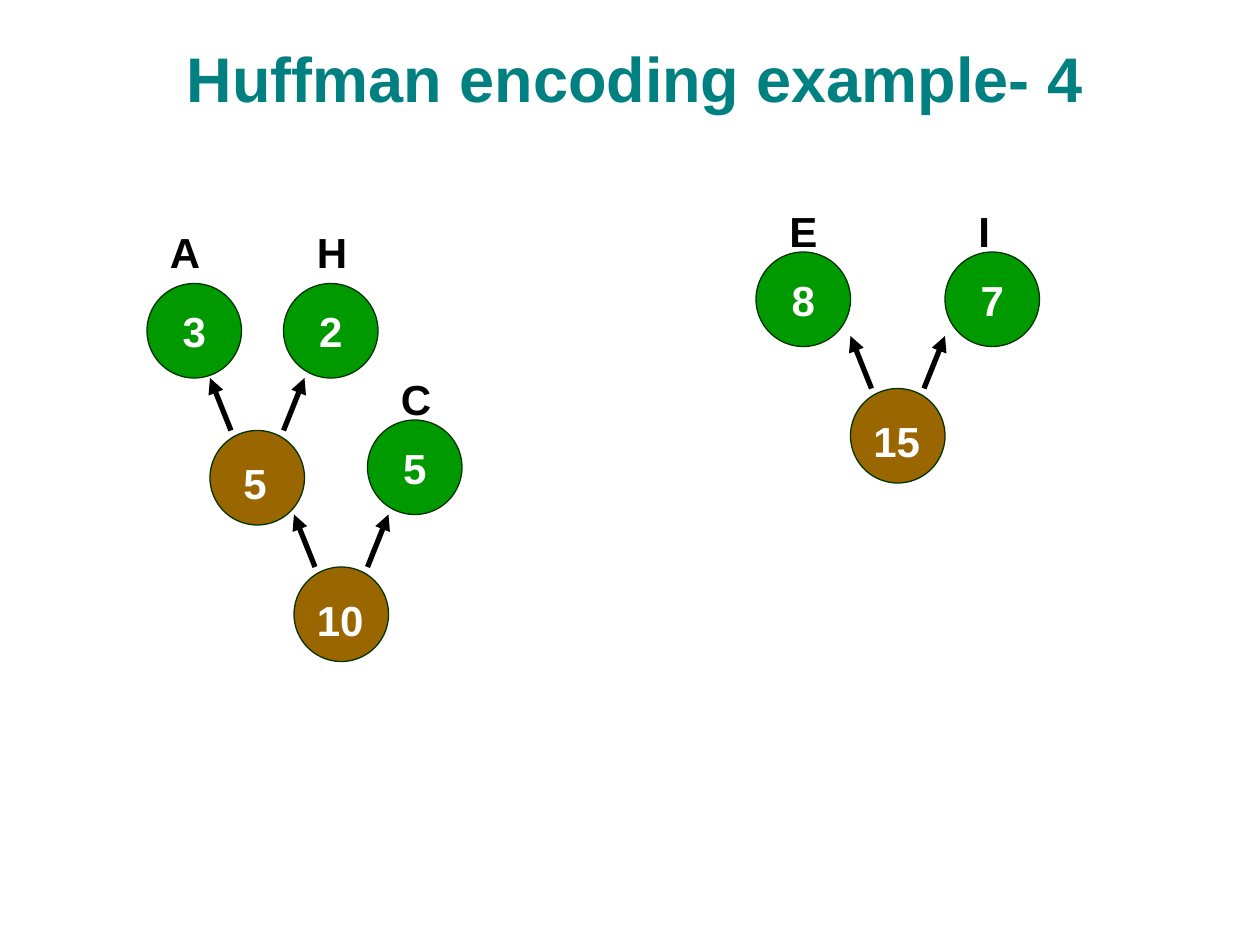
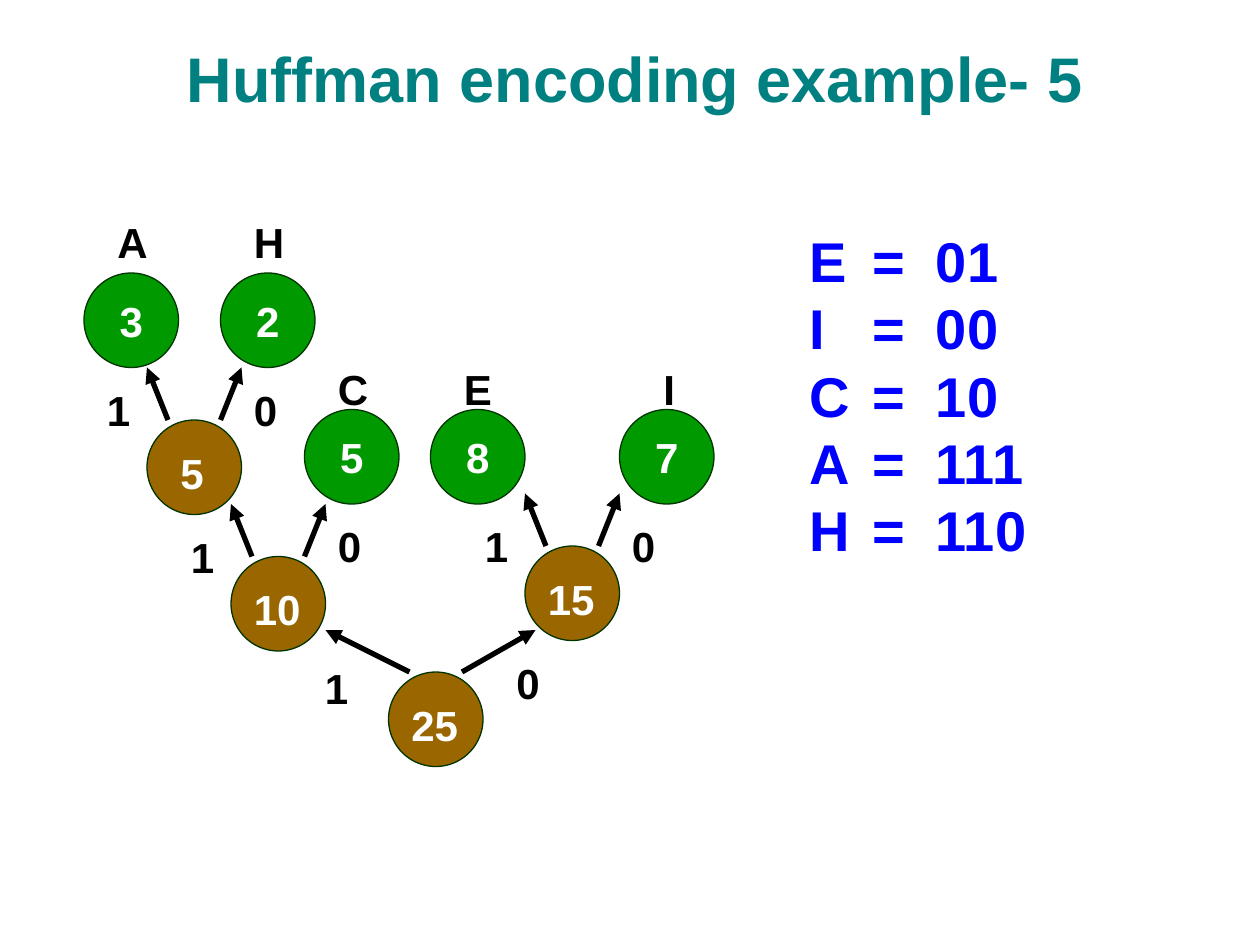
"""Build two slides that merge Huffman trees and read off the resulting codes."""
from dataclasses import dataclass

from lxml.etree import SubElement
from pptx import Presentation
from pptx.dml.color import RGBColor
from pptx.enum.shapes import MSO_CONNECTOR, MSO_SHAPE
from pptx.enum.text import MSO_ANCHOR, MSO_AUTO_SIZE, PP_ALIGN
from pptx.oxml.ns import qn
from pptx.util import Inches, Pt


@dataclass(frozen=True)
class Theme:
    font: str = "Arial"
    title: str = "008080"
    leaf: str = "009900"
    merged: str = "996600"
    outline: str = "003300"
    weight: str = "FFFFFF"
    ink: str = "000000"
    code: str = "0000FF"
    title_size: int = 36
    node_size: int = 24
    code_size: int = 32


THEME = Theme()

# Positions count grid steps, twelve to the inch.
STEPS_PER_INCH = 12
DIAMETER = 9
TEXT_HEIGHT = 6
ARROW_STARTS = (2, 7)
NEAR_TIPS = ((0, -5), (9, -5))
WIDE_TIPS = ((-6, -4), (14, -4))
GLYPH_WIDTHS = {"A": 0.44, "C": 0.44, "E": 0.42, "H": 0.44, "I": 0.29}

AHC_TREE = {
    "leaves": [("A", "3", 14, 27, -6), ("H", "2", 27, 27, -6), ("C", "5", 35, 40, -5)],
    "merges": [("5", 20, 41, NEAR_TIPS), ("10", 28, 54, NEAR_TIPS)],
}
EI_TREE = {
    "leaves": [("E", "8", 72, 24, -5), ("I", "7", 90, 24, -5)],
    "merges": [("15", 81, 37, NEAR_TIPS)],
}
ROOT = {"leaves": [], "merges": [("25", 37, 64, WIDE_TIPS)]}

SLIDES = [
    {
        "title": "Huffman encoding example- 4",
        "trees": [(AHC_TREE, 0, 0), (EI_TREE, 0, 0)],
        "letter_shift": {"A": 1},
        "bits": [],
        "codes": [],
    },
    {
        "title": "Huffman encoding example- 5",
        "trees": [(AHC_TREE, -6, -1), (EI_TREE, -31, 15), (ROOT, 0, 0)],
        "letter_shift": {"I": 3},
        "bits": [
            ("1", 29.75, 62.5), ("1", 17, 50), ("1", 9, 36), ("1", 45, 49),
            ("0", 48, 62), ("0", 59, 49), ("0", 23, 36), ("0", 31, 49),
        ],
        "codes": [("E", "01"), ("I", "00"), ("C", "10"), ("A", "111"), ("H", "110")],
    },
]


def steps(count):
    return Inches(count / STEPS_PER_INCH)


def style(frame, size, color, align=PP_ALIGN.LEFT, leading=1.2):
    for paragraph in frame.paragraphs:
        paragraph.alignment = align
        if leading:
            paragraph.line_spacing = Pt(size * leading)
        for run in paragraph.runs:
            run.font.name = THEME.font
            run.font.size = Pt(size)
            run.font.bold = True
            run.font.color.rgb = RGBColor.from_string(color)


def add_title(slide, wording):
    title = slide.shapes.title
    title.left, title.top = Inches(0.33), Inches(0.17)
    title.width, title.height = Inches(9.42), Inches(0.79)
    frame = title.text_frame
    frame.text = wording
    frame.auto_size = MSO_AUTO_SIZE.NONE
    frame.vertical_anchor = MSO_ANCHOR.BOTTOM
    style(frame, THEME.title_size, THEME.title, PP_ALIGN.CENTER, leading=None)


def add_caption(slide, wording, col, row, color=THEME.ink):
    width = GLYPH_WIDTHS.get(wording, 0.19 * (len(wording) + 1))
    caption = slide.shapes.add_textbox(
        steps(col), steps(row), Inches(width), steps(TEXT_HEIGHT))
    caption.text_frame.word_wrap = False
    caption.text_frame.text = wording
    style(caption.text_frame, THEME.node_size, color)


def add_circle(slide, col, row, color):
    circle = slide.shapes.add_shape(
        MSO_SHAPE.OVAL, steps(col), steps(row), steps(DIAMETER), steps(DIAMETER))
    circle.shadow.inherit = False
    circle.fill.solid()
    circle.fill.fore_color.rgb = RGBColor.from_string(color)
    circle.line.color.rgb = RGBColor.from_string(THEME.outline)
    circle.line.width = Pt(0.75)
    return circle


def add_arrow(slide, start, tip):
    arrow = slide.shapes.add_connector(
        MSO_CONNECTOR.STRAIGHT, *(steps(count) for count in (*start, *tip)))
    arrow.line.color.rgb = RGBColor.from_string(THEME.ink)
    arrow.line.width = Pt(3)
    SubElement(arrow.line._get_or_add_ln(), qn("a:tailEnd"), type="triangle")
    SubElement(arrow._element.spPr, qn("a:effectLst"))


def add_leaf(slide, letter, weight, col, row, rise, shift):
    frame = add_circle(slide, col, row, THEME.leaf).text_frame
    frame.word_wrap = False
    frame.vertical_anchor = MSO_ANCHOR.MIDDLE
    frame.text = weight
    style(frame, THEME.node_size, THEME.weight, PP_ALIGN.CENTER)
    add_caption(slide, letter, col + shift, row + rise)


def add_merge(slide, weight, col, row, tips):
    add_circle(slide, col, row, THEME.merged)
    add_caption(slide, weight, col + 3 - len(weight), row + 2, THEME.weight)
    for start, (across, up) in zip(ARROW_STARTS, tips):
        add_arrow(slide, (col + start, row), (col + across, row + up))


def add_tree(slide, tree, right, down, letter_shift):
    for letter, weight, col, row, rise in tree["leaves"]:
        add_leaf(slide, letter, weight, col + right, row + down, rise,
                 letter_shift.get(letter, 2))
    for weight, col, row, tips in tree["merges"]:
        add_merge(slide, weight, col + right, row + down, tips)


def add_codes(slide, codes):
    listing = slide.shapes.add_textbox(
        Inches(6.33), Inches(1.75), Inches(2.94), Inches(2.77))
    frame = listing.text_frame
    frame.word_wrap = False
    frame.text = "\n".join(f"{letter} \t= \t{code}" for letter, code in codes)
    style(frame, THEME.code_size, THEME.code)


def main():
    deck = Presentation()
    deck.slide_width, deck.slide_height = Inches(10), Inches(7.5)
    title_only = deck.slide_layouts[5]
    for content in SLIDES:
        slide = deck.slides.add_slide(title_only)
        add_title(slide, content["title"])
        for tree, right, down in content["trees"]:
            add_tree(slide, tree, right, down, content["letter_shift"])
        for bit, col, row in content["bits"]:
            add_caption(slide, bit, col, row)
        if content["codes"]:
            add_codes(slide, content["codes"])
    deck.save("out.pptx")


if __name__ == "__main__":
    main()
